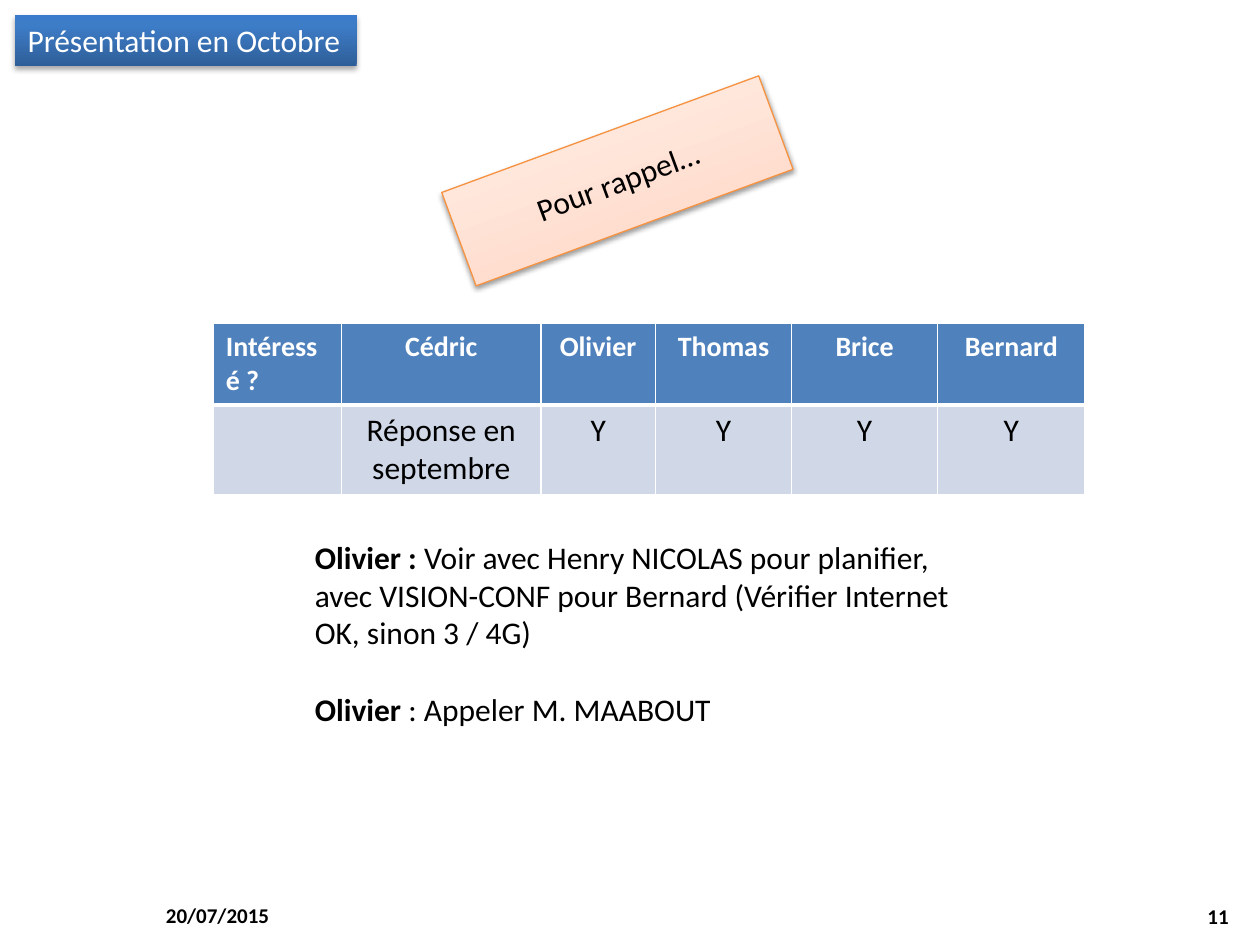
"""Build the October presentation reminder slide."""
from dataclasses import dataclass
from typing import Optional

from lxml import etree
from pptx import Presentation
from pptx import slide as sl
from pptx import util as u
from pptx.dml import color
from pptx.enum import shapes, text
from pptx.oxml import ns

FONT = "Calibri"
LEFT, CENTER, RIGHT = text.PP_ALIGN.LEFT, text.PP_ALIGN.CENTER, text.PP_ALIGN.RIGHT
TOP, MIDDLE = text.MSO_ANCHOR.TOP, text.MSO_ANCHOR.MIDDLE


@dataclass
class Frame:
    left: float
    top: float
    width: float
    height: float

    def lengths(self) -> list[u.Length]:
        return [u.Pt(side) for side in (self.left, self.top, self.width, self.height)]


@dataclass
class Line:
    words: str
    lead: str = ""
    size: float = 18
    ink: str = "000000"
    bold: bool = False
    align: text.PP_ALIGN = LEFT
    gap: float = 0


@dataclass
class Banner:
    frame: Frame
    line: Line
    stops: list[tuple[int, str]]
    shade: int
    drop: float
    wrap: bool
    anchor: text.MSO_ANCHOR
    border: Optional[str] = None
    turn: float = 0


@dataclass
class Note:
    frame: Frame
    lines: list[Line]
    anchor: text.MSO_ANCHOR = TOP


BANNERS = [
    Banner(Frame(8.64, 8.64, 195.12, 29), Line("Présentation en Octobre", ink="FFFFFF"),
           [(0, "2F5F99"), (80, "3D7CC7"), (100, "3A7CCB")], 35, 1.8, False, TOP),
    Banner(Frame(256.3, 74.9, 193, 56.9), Line("Pour rappel…", align=CENTER),
           [(0, "FFD2BD"), (35, "FFDED0"), (100, "FFF2ED")], 38, 1.6, True, MIDDLE,
           "F69240", 339.8),
]
NOTES = [
    Note(Frame(87.8, 508.3, 167.8, 28.8), [Line("20/07/2015", size=12, bold=True)], MIDDLE),
    Note(Frame(541.4, 509, 167.8, 28.8),
         [Line("11", size=12, bold=True, align=RIGHT)], MIDDLE),
    Note(Frame(172.8, 303.8, 396.7, 116.6), [
        Line("Voir avec Henry NICOLAS pour planifier, avec VISION-CONF pour Bernard "
             "(Vérifier Internet OK, sinon 3 / 4G)", "Olivier : "),
        Line(": Appeler M. MAABOUT", "Olivier ", gap=22),
    ]),
]
TABLE_FRAME = Frame(121.9, 185, 498.2, 96)
COLUMNS = [73.4, 113.8, 65.5, 77.8, 83.5, 84.2]
ROWS = [46.3, 49.7]
ANSWERS = [
    ["Intéressé ?", "Cédric", "Olivier", "Thomas", "Brice", "Bernard"],
    ["", "Réponse en septembre", "Y", "Y", "Y", "Y"],
]


def rgb(code: str) -> color.RGBColor:
    return color.RGBColor.from_string(code)


def add_color(parent: etree._Element, code: str) -> etree._Element:
    return etree.SubElement(parent, ns.qn("a:srgbClr"), val=code)


def write(frame, lines: list[Line]) -> None:
    for index, line in enumerate(lines):
        para = frame.add_paragraph() if index else frame.paragraphs[0]
        para.alignment = line.align
        if line.gap:
            para.space_before = u.Pt(line.gap)
        para.font.name, para.font.size = FONT, u.Pt(line.size)
        para.font.bold = line.bold
        para.font.color.rgb = rgb(line.ink)
        for words, bold in ((line.lead, True), (line.words, line.bold)):
            if words:
                span = para.add_run()
                span.text, span.font.bold = words, bold
                span.font.name, span.font.size = FONT, u.Pt(line.size)
                span.font.color.rgb = rgb(line.ink)


def draw_banner(page: sl.Slide, banner: Banner) -> None:
    box = page.shapes.add_shape(shapes.MSO_SHAPE.RECTANGLE, *banner.frame.lengths())
    box.rotation = banner.turn
    box.fill.gradient()
    box.fill.gradient_angle = 90
    properties = box._element.spPr
    stop_list = properties.find(f".//{ns.qn('a:gsLst')}")
    for stop in list(stop_list):
        stop_list.remove(stop)
    for percent, code in banner.stops:
        add_color(etree.SubElement(stop_list, ns.qn("a:gs"), pos=str(percent * 1000)), code)
    if banner.border:
        box.line.color.rgb = rgb(banner.border)
        box.line.width = u.Pt(0.75)
    else:
        box.line.fill.background()
    box.shadow.inherit = False
    shadow = etree.SubElement(
        properties.find(ns.qn("a:effectLst")), ns.qn("a:outerShdw"),
        blurRad=str(u.Pt(3.1)), dist=str(u.Pt(banner.drop)), dir="5400000", rotWithShape="0")
    etree.SubElement(add_color(shadow, "000000"), ns.qn("a:alpha"),
                     val=str(banner.shade * 1000))
    box.text_frame.word_wrap = banner.wrap
    box.text_frame.vertical_anchor = banner.anchor
    write(box.text_frame, [banner.line])


def draw_note(page: sl.Slide, note: Note) -> None:
    box = page.shapes.add_textbox(*note.frame.lengths())
    box.text_frame.word_wrap = True
    box.text_frame.vertical_anchor = note.anchor
    write(box.text_frame, note.lines)


def set_borders(cell, widths: dict[str, float]) -> None:
    properties = cell._tc.get_or_add_tcPr()
    for index, (side, width) in enumerate(widths.items()):
        border = etree.Element(ns.qn(f"a:ln{side}"), w=str(u.Pt(width)))
        add_color(etree.SubElement(border, ns.qn("a:solidFill")), "FFFFFF")
        properties.insert(index, border)


def draw_table(page: sl.Slide) -> None:
    table = page.shapes.add_table(len(ROWS), len(COLUMNS), *TABLE_FRAME.lengths()).table
    for column, width in zip(table.columns, COLUMNS):
        column.width = u.Pt(width)
    for row_index, (row, height) in enumerate(zip(table.rows, ROWS)):
        row.height = u.Pt(height)
        header = row_index == 0
        for column_index, cell in enumerate(row.cells):
            cell.fill.solid()
            cell.fill.fore_color.rgb = rgb("4F81BD" if header else "D0D8E8")
            set_borders(cell, {"L": 1, "R": 1, "T": 1 if header else 3,
                               "B": 3 if header else 1})
            write(cell.text_frame, [Line(
                ANSWERS[row_index][column_index], size=16 if header else 18,
                ink="FFFFFF" if header else "000000", bold=header,
                align=CENTER if column_index else LEFT)])


def main() -> None:
    deck = Presentation()
    deck.slide_width, deck.slide_height = u.Pt(720), u.Pt(540)
    page = deck.slides.add_slide(deck.slide_layouts[6])
    draw_table(page)
    for note in NOTES:
        draw_note(page, note)
    for banner in BANNERS:
        draw_banner(page, banner)
    deck.save("out.pptx")


if __name__ == "__main__":
    main()
